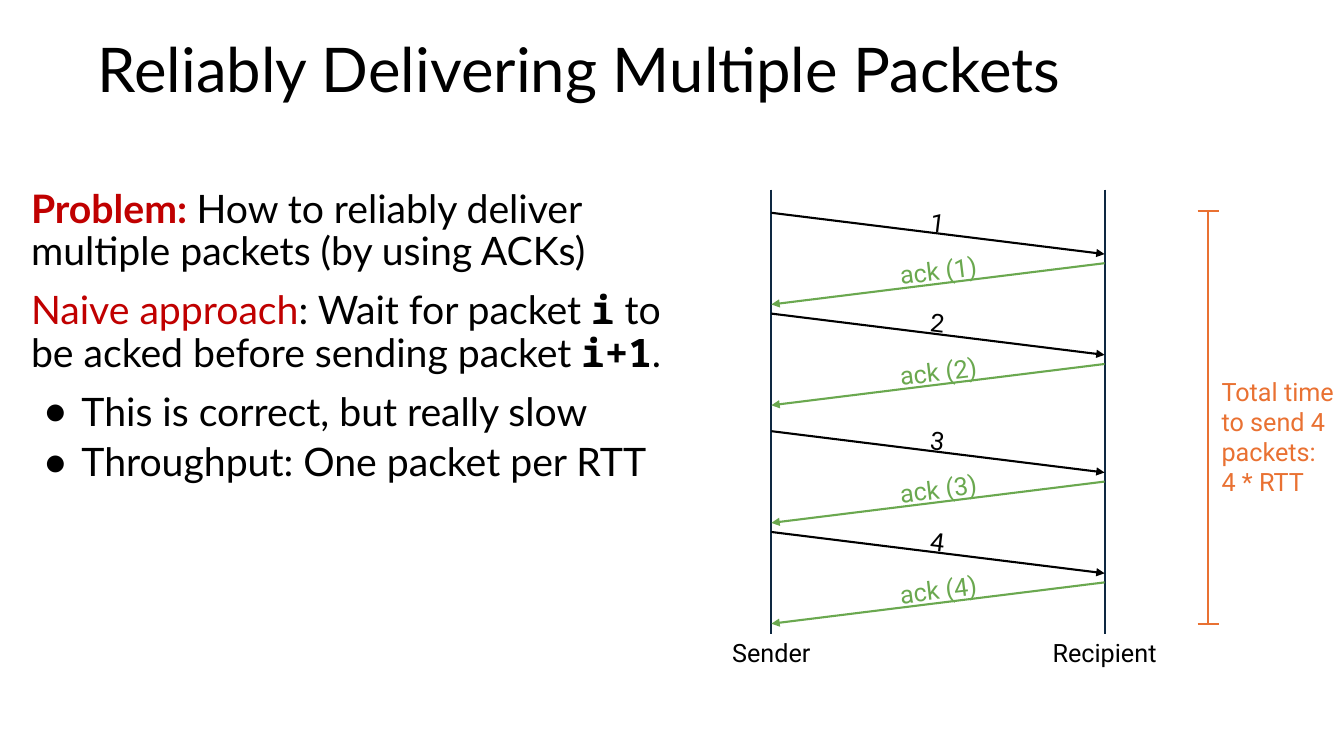
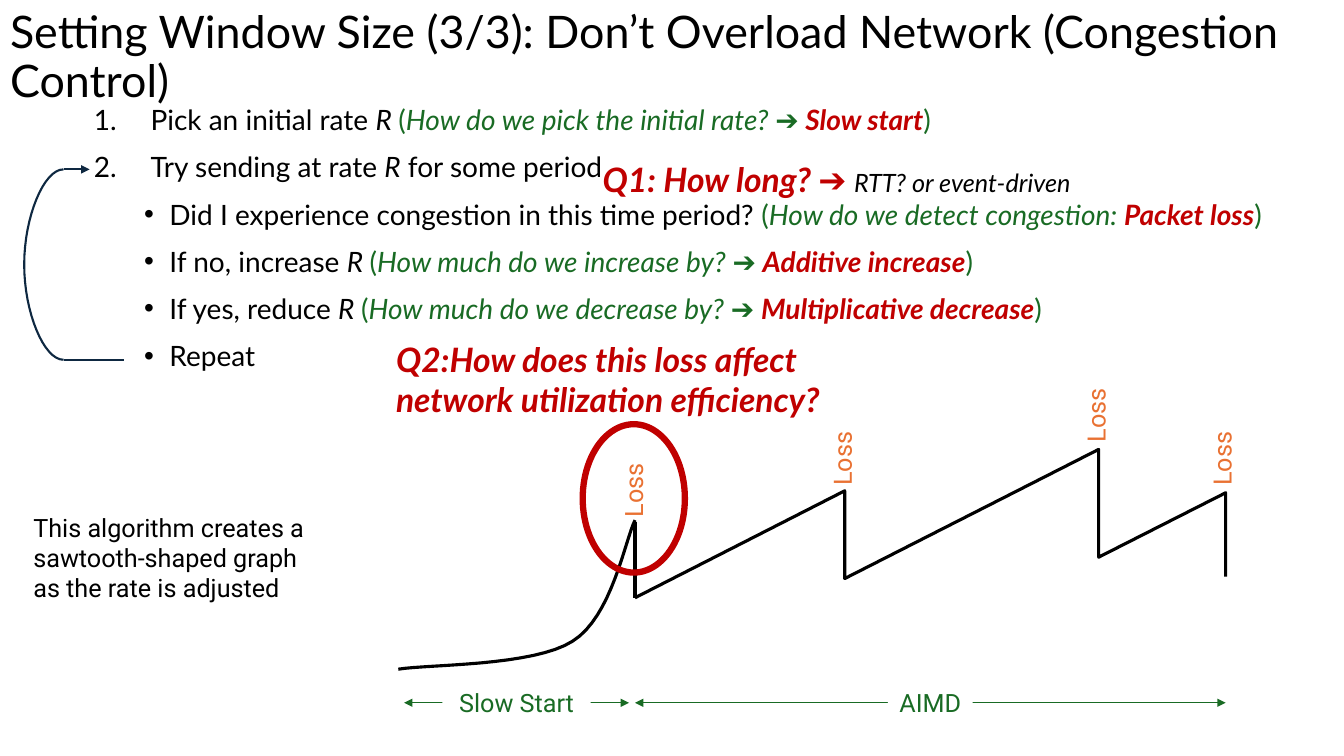
from lxml.etree import SubElement
from pptx import Presentation
from pptx.dml.color import RGBColor
from pptx.enum.shapes import MSO_CONNECTOR as Connector, MSO_SHAPE as Preset
from pptx.enum.text import MSO_ANCHOR as Anchor, MSO_AUTO_SIZE as AutoSize, PP_ALIGN as Align
from pptx.oxml.ns import qn
from pptx.util import Pt

COLOURS = {
    "text": "000000", "white": "FFFFFF", "navy": "0E2841", "red": "C00000",
    "orange": "E97132", "ack": "6AA84F", "green": "196B24",
}
RGB = {name: RGBColor.from_string(value) for name, value in COLOURS.items()}


def write(shape, box, paragraphs, size, font="Roboto", inset=(0, 0),
          align=Align.LEFT, anchor=Anchor.TOP, line_spacing=1.0):
    """Place a shape and fill it with (runs, layout) paragraphs.

    A run is (text, colour, flags): b bold, i italic, m monospaced.
    A layout is (level, left margin, indent, bullet, space before).
    """
    shape.left, shape.top, shape.width, shape.height = map(Pt, box)
    frame = shape.text_frame
    frame.word_wrap = True
    frame.auto_size = AutoSize.NONE
    frame.vertical_anchor = anchor
    frame.margin_left = frame.margin_right = Pt(inset[0])
    frame.margin_top = frame.margin_bottom = Pt(inset[1])
    for index, (runs, layout) in enumerate(paragraphs):
        paragraph = frame.paragraphs[0] if index == 0 else frame.add_paragraph()
        if layout:
            level, margin, indent, (tag, attributes), before = layout
            paragraph.level = level
            properties = paragraph._p.get_or_add_pPr()
            properties.set("marL", str(Pt(margin)))
            properties.set("indent", str(Pt(indent)))
            SubElement(properties, qn(tag), attributes)
            paragraph.space_before = Pt(before if index else 0)
            paragraph.space_after = Pt(6)
        paragraph.alignment = align
        paragraph.line_spacing = line_spacing
        for text, colour, flags in runs:
            run = paragraph.add_run()
            run.text = text
            run.font.name = "Noto Sans Mono" if "m" in flags else font
            run.font.size = Pt(size)
            run.font.bold = "b" in flags
            run.font.italic = "i" in flags
            run.font.color.rgb = RGB[colour]


def add_line(slide, start, end, colour, width=1.5, arrows=()):
    line = slide.shapes.add_connector(Connector.STRAIGHT, *map(Pt, (*start, *end)))
    line.line.color.rgb = RGB[colour]
    line.line.width = Pt(width)
    properties = line.element.spPr
    for arrow in arrows:
        SubElement(properties.find(qn("a:ln")), qn(arrow), type="triangle")
    SubElement(properties, qn("a:effectLst"))
    return line


HEAD, TAIL = "a:headEnd", "a:tailEnd"
INSET = (7.2, 7.2)

presentation = Presentation()
presentation.slide_width, presentation.slide_height = Pt(960), Pt(540)

titles = [
    ("Reliably Delivering Multiple Packets", (62.6, 23, 828, 57.6), 44, Anchor.MIDDLE),
    ("Setting Window Size (3/3): Don’t Overload Network (Congestion Control)",
     (0, 0, 960, 65), 32, Anchor.TOP),
]
for title, box, size, anchor in titles:
    slide = presentation.slides.add_slide(presentation.slide_layouts[1])
    write(slide.shapes.title, box, [([(title, "text", "")], None)], size, "Lato",
          INSET, anchor=anchor, line_spacing=0.9)
packets, congestion = presentation.slides

# Slide 1: problem statement
plain = (0, 0, 0, ("a:buNone", {}), 6)
dot = ("a:buChar", {"char": "●"})
write(packets.placeholders[1], (15, 128, 499, 236), [
    ([("Problem: ", "red", "b"),
      ("How to reliably deliver multiple packets (by using ACKs)", "text", "")], plain),
    ([("Naive approach", "red", ""), (": Wait for packet ", "text", ""),
      ("i", "text", "bm"), (" to be acked before sending packet ", "text", ""),
      ("i+1", "text", "bm"), (".", "text", "")], plain),
    ([("This is correct, but really slow", "text", "")], (0, 36, -27, dot, 6)),
    ([("Throughput: One packet per RTT", "text", "")], (0, 36, -27, dot, 0)),
], 28, "Lato", INSET, line_spacing=0.9)

# Slide 1: sequence diagram
sender_x, recipient_x = 551, 789
for name, x in (("Sender", sender_x), ("Recipient", recipient_x)):
    label = packets.shapes.add_textbox(0, 0, 0, 0)
    write(label, (x - 47, 453, 94, 21.6), [([(name, "text", "")], None)], 18,
          inset=(7.2, 2.2), align=Align.CENTER)
    lifeline = add_line(packets, (x, 135.5), (x, 453), "navy")
    lifeline.end_connect(label, 0)

label_left = (sender_x + recipient_x) / 2 - 44.5
for number, y in enumerate((152, 224, 308, 380), 1):
    messages = [
        (str(number), "text", sender_x, recipient_x, y, 7, y - 6.5),
        (f"ack ({number})", "ack", recipient_x, sender_x, y + 36, -7, y + 28),
    ]
    for text, colour, start_x, end_x, start_y, angle, label_top in messages:
        add_line(packets, (start_x, start_y), (end_x, start_y + 29.5), colour, arrows=[TAIL])
        label = packets.shapes.add_textbox(0, 0, 0, 0)
        write(label, (label_left, label_top, 89, 22.3), [([(text, colour, "")], None)], 18,
              inset=(2.2, 2.2), align=Align.CENTER)
        label.rotation = angle

span_x, span_top, span_bottom = 863, 150.5, 445.7
add_line(packets, (span_x, span_top), (span_x, span_bottom), "orange")
for y in (span_top, span_bottom):
    add_line(packets, (span_x - 7.5, y), (span_x + 7.5, y), "orange")
write(packets.shapes.add_textbox(0, 0, 0, 0), (865.5, 261.4, 94.5, 124),
      [([("Total time to send 4 packets: 4 * RTT", "orange", "")], None)], 18, inset=INSET)

# Slide 2: algorithm steps
step = (0, 76.5, -40.5, ("a:buAutoNum", {"type": "arabicPeriod"}), 6)
detail = (1, 90, -18, ("a:buChar", {"char": "•"}), 6)
steps = [
    (step, "Pick an initial rate ", "R ", "", "How do we pick the initial rate? ➔ ", "Slow start"),
    (step, "Try sending at rate ", "R", " for some period", "", ""),
    (detail, "Did I experience congestion in this time period? ", "", "",
     "How do we detect congestion: ", "Packet loss"),
    (detail, "If no, increase ", "R ", "", "How much do we increase by? ➔ ", "Additive increase"),
    (detail, "If yes, reduce ", "R ", "", "How much do we decrease by? ➔ ",
     "Multiplicative decrease"),
    (detail, "Repeat", "", "", "", ""),
]
paragraphs = []
for layout, lead, rate, rest, question, answer in steps:
    runs = [(lead, "text", ""), (rate, "text", "i"), (rest, "text", "")]
    if question:
        runs += [("(", "green", ""), (question, "green", "i"),
                 (answer, "red", "bi"), (")", "green", "")]
    paragraphs.append(([run for run in runs if run[0]], layout))
write(congestion.placeholders[1], (23.8, 69, 913, 209.5), paragraphs, 20, "Lato",
      INSET, line_spacing=0.9)

# Slide 2: repeat arrow and sawtooth graph
add_line(congestion, (45.4, 257), (88.6, 257), "navy")
add_line(congestion, (45.4, 121), (64, 121), "navy", arrows=[TAIL])
add_line(congestion, (453.6, 373), (453.6, 427.5), "text", 2.25)

repeat_curve = [(45.4, 121), (31.3, 121), (17.3, 155), (17.3, 189),
                (17.3, 223), (31.3, 257), (45.4, 257)]
slow_start_curve = [(284.5, 478), (305.3, 474.5), (381, 476), (409, 458),
                    (437, 440.6), (446.4, 386), (453.6, 371.5)]
sawtooth = [(453.6, 427), (603.4, 350.6), (603.4, 413.3), (784.8, 321),
            (784.8, 398), (875.5, 352), (875.5, 412)]
for nodes, curved, colour, width in (
    (repeat_curve, True, "navy", 1.5),
    (slow_start_curve, True, "text", 2.25),
    (sawtooth, False, "text", 2.25),
):
    points = nodes
    if curved:  # sample each cubic Bézier piece
        points = nodes[:1]
        for first in range(0, len(nodes) - 1, 3):
            for t in (number / 16 for number in range(1, 17)):
                weights = ((1 - t) ** 3, 3 * t * (1 - t) ** 2, 3 * t ** 2 * (1 - t), t ** 3)
                pairs = list(zip(weights, nodes[first:first + 4]))
                points = points + [tuple(sum(w * node[axis] for w, node in pairs)
                                         for axis in (0, 1))]
    points = [(Pt(x), Pt(y)) for x, y in points]
    builder = congestion.shapes.build_freeform(*points[0])
    builder.add_line_segments(points[1:], close=False)
    outline = builder.convert_to_shape()
    outline.shadow.inherit = False
    outline.fill.background()
    outline.line.color.rgb = RGB[colour]
    outline.line.width = Pt(width)

for x, y in ((453.6, 346.3), (602.6, 324), (784, 293), (874, 324)):
    loss = congestion.shapes.add_textbox(0, 0, 0, 0)
    write(loss, (x - 23, y - 12.2, 46, 24.4), [([("Loss", "orange", "")], None)], 18)
    loss.rotation = 270

for phase, start, end, width in (("Slow Start", 288.7, 449.3, 106), ("AIMD", 453.6, 875.5, 60.5)):
    add_line(congestion, (start, 502), (end, 502), "green", 0.75, [HEAD, TAIL])
    label = congestion.shapes.add_shape(Preset.RECTANGLE, 0, 0, 0, 0)
    label.shadow.inherit = False
    label.fill.solid()
    label.fill.fore_color.rgb = RGB["white"]
    label.line.fill.background()
    write(label, ((start + end - width) / 2, 491, width, 21.6),
          [([(phase, "green", "")], None)], 18, align=Align.CENTER, anchor=Anchor.MIDDLE)

loss_ring = congestion.shapes.add_shape(Preset.OVAL, *map(Pt, (416.2, 303, 73, 106)))
loss_ring.shadow.inherit = False
loss_ring.fill.background()
loss_ring.line.color.rgb = RGB["red"]
loss_ring.line.width = Pt(4.5)

# Slide 2: remarks
write(congestion.shapes.add_textbox(0, 0, 0, 0), (23.8, 365.8, 201, 65.5),
      [([("This algorithm creates a sawtooth-shaped graph as the rate is adjusted",
          "text", "")], None)], 18)
write(congestion.shapes.add_textbox(0, 0, 0, 0), (275.8, 238.3, 356.4, 65.5),
      [([("Q2:How does this loss affect network utilization efficiency?", "red", "bi")], None)],
      24, "Lato", (7.2, 3.6))
duration = congestion.shapes.add_textbox(0, 0, 0, 0)
write(duration, (423.4, 110, 371, 36),
      [([("Q1: How long? ➔ ", "red", "bi"), ("RTT? or event-driven", "text", "i")], None)],
      24, "Lato", (7.2, 3.6))
duration.text_frame.paragraphs[0].runs[1].font.size = Pt(18)

presentation.save("out.pptx")
